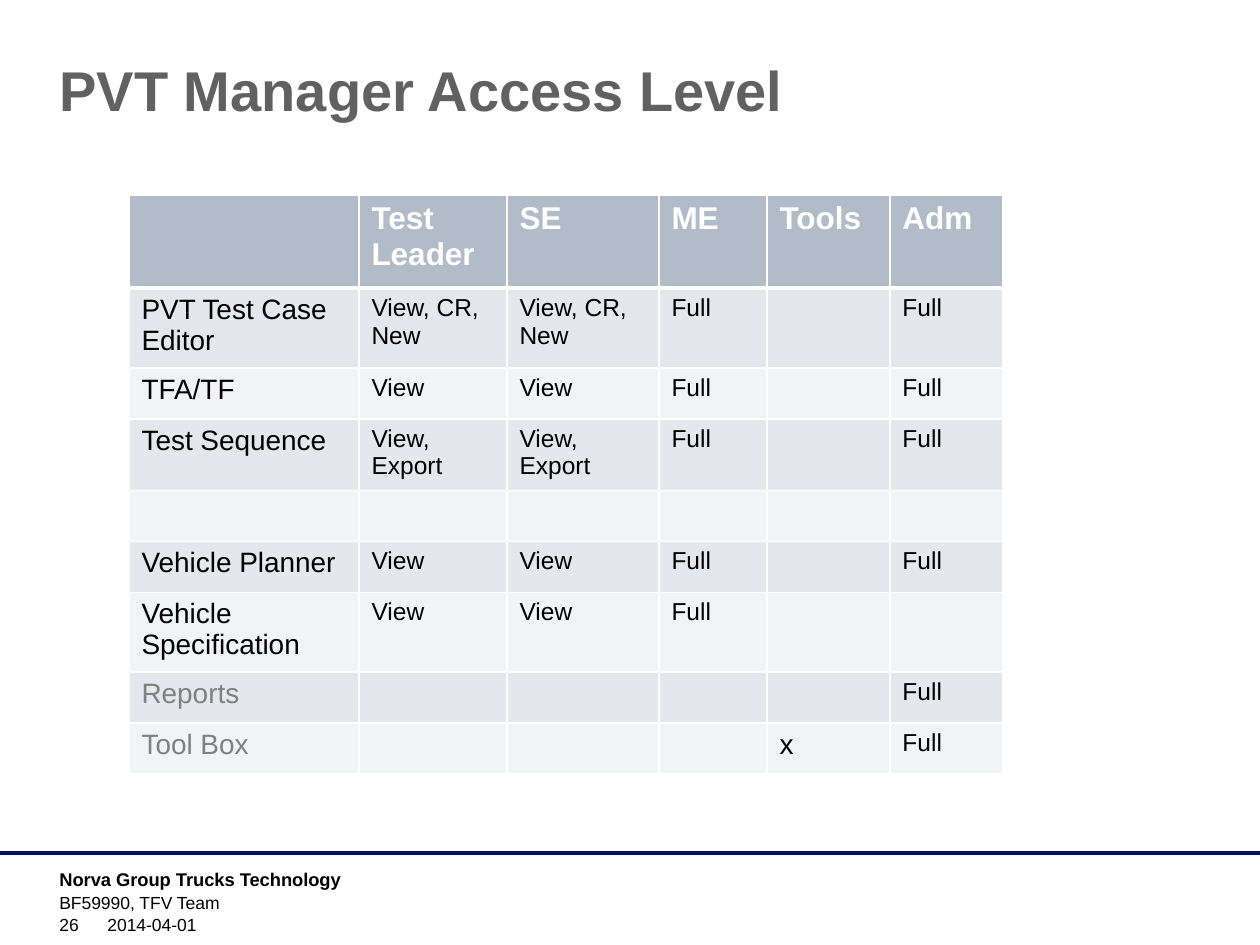
from lxml import etree
from pptx import Presentation, util as u
from pptx.dml.color import RGBColor
from pptx.enum import shapes, text
from pptx.oxml import ns

FONT = "Arial"
COLORS = {
    "title": "616161", "text": "000000", "muted": "808080", "white": "FFFFFF",
    "header": "B1BCC8", "odd_row": "E4E7EB", "even_row": "F2F3F5", "rule": "000F60",
}

# Content
TITLE = "PVT Manager Access Level"
ACCESS = [
    ("", "Test Leader", "SE", "ME", "Tools", "Adm"),
    ("PVT Test Case Editor", "View, CR, New", "View, CR, New", "Full", "", "Full"),
    ("TFA/TF", "View", "View", "Full", "", "Full"),
    ("Test Sequence", "View, Export", "View, Export", "Full", "", "Full"),
    ("", "", "", "", "", ""),
    ("Vehicle Planner", "View", "View", "Full", "", "Full"),
    ("Vehicle Specification", "View", "View", "Full", "", ""),
    ("Reports", "", "", "", "", "Full"),
    ("Tool Box", "", "", "", "x", "Full"),
]
MUTED_LABELS = ("Reports", "Tool Box")
COLUMN_WIDTHS = (230, 148, 152, 108, 123, 113)
HEADER_HEIGHT, ROW_HEIGHT = 93, 51
TOP, BOTTOM = text.MSO_ANCHOR.TOP, text.MSO_ANCHOR.BOTTOM
# text, box in px, size, bold, anchor
FOOTER = [
    ("Norva Group Trucks Technology", (47, 862, 400, 30), 10.5, True, TOP),
    ("BF59990, TFV Team", (47, 886, 948, 30), 10, False, TOP),
    ("26", (47, 912, 69, 29), 10, False, BOTTOM),
    ("2014-04-01", (95, 912, 331, 29), 10, False, BOTTOM),
]


def px(*lengths):
    return [u.Emu(round(length * 914400 / 126)) for length in lengths]


def color(name):
    return RGBColor.from_string(COLORS[name])


def add_run(paragraph, words, size, color_name, bold=False):
    run = paragraph.add_run()
    run.text = words
    run.font.name, run.font.size, run.font.bold = FONT, u.Pt(size), bold
    run.font.color.rgb = color(color_name)


def add_borders(cell, top, bottom):
    properties = cell._tc.get_or_add_tcPr()
    for side, points in (("L", 1), ("R", 1), ("T", top), ("B", bottom)):
        line = etree.SubElement(properties, ns.qn(f"a:ln{side}"), w=str(u.Pt(points)))
        fill = etree.SubElement(line, ns.qn("a:solidFill"))
        etree.SubElement(fill, ns.qn("a:srgbClr"), val=COLORS["white"])


presentation = Presentation()
presentation.slide_width, presentation.slide_height = px(1260, 945)
slide = presentation.slides.add_slide(presentation.slide_layouts[5])

# Footer rule
rule = slide.shapes.add_connector(shapes.MSO_CONNECTOR.STRAIGHT, *px(0, 853, 1260, 853))
rule.line.color.rgb = color("rule")
rule.line.width = u.Pt(2)
etree.SubElement(rule._element.spPr, ns.qn("a:effectLst"))

# Footer text
for words, box, size, bold, anchor in FOOTER:
    frame = slide.shapes.add_textbox(*px(*box)).text_frame
    frame.word_wrap, frame.vertical_anchor = True, anchor
    add_run(frame.paragraphs[0], words, size, "text", bold)

# Title
title = slide.shapes.title
title.left, title.top, title.width, title.height = px(47, 49, 1134, 158)
title.text_frame.vertical_anchor = TOP
title.text_frame.word_wrap = True
title.text_frame.auto_size = text.MSO_AUTO_SIZE.NONE
title.text_frame.paragraphs[0].alignment = text.PP_ALIGN.LEFT
add_run(title.text_frame.paragraphs[0], TITLE, 32, "title", True)

# Access table
table_height = HEADER_HEIGHT + ROW_HEIGHT * (len(ACCESS) - 1)
table = slide.shapes.add_table(
    len(ACCESS), len(COLUMN_WIDTHS), *px(129, 195, sum(COLUMN_WIDTHS), table_height)
).table
for column, width in zip(table.columns, px(*COLUMN_WIDTHS)):
    column.width = width
for r, entries in enumerate(ACCESS):
    table.rows[r].height = px(ROW_HEIGHT if r else HEADER_HEIGHT)[0]
    for c, words in enumerate(entries):
        cell = table.cell(r, c)
        add_borders(cell, 3 if r == 1 else 1, 3 if r == 0 else 1)
        cell.fill.solid()
        cell.fill.fore_color.rgb = color(
            "header" if r == 0 else "odd_row" if r % 2 else "even_row")
        if not words:
            continue
        if r == 0:
            style = (18, "white", True)
        elif c == 0:
            style = (16, "muted" if words in MUTED_LABELS else "text")
        else:
            style = (16 if words == "x" else 14, "text")
        paragraph = cell.text_frame.paragraphs[0]
        add_run(paragraph, words, *style)
        # The end mark takes the run's size, so it does not stretch the row
        etree.SubElement(paragraph._p, ns.qn("a:endParaRPr"), sz=str(style[0] * 100))

presentation.save("out.pptx")
